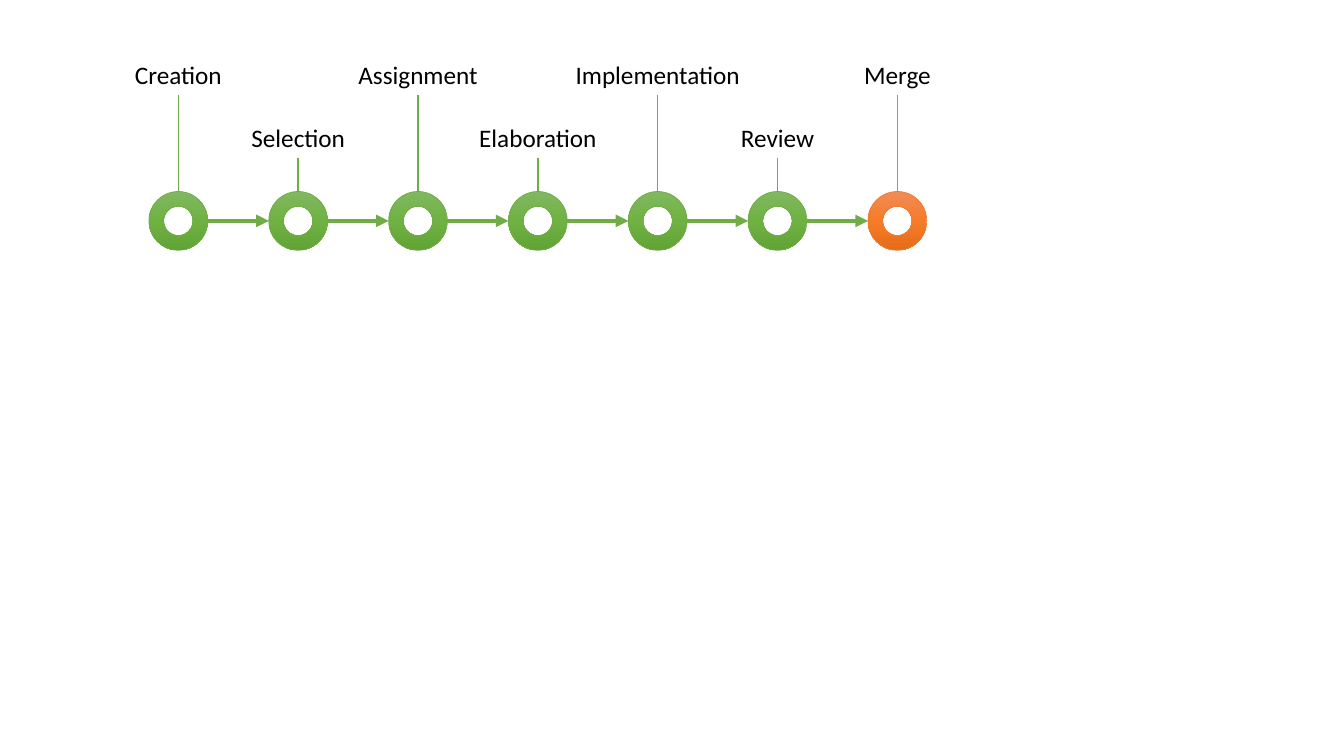
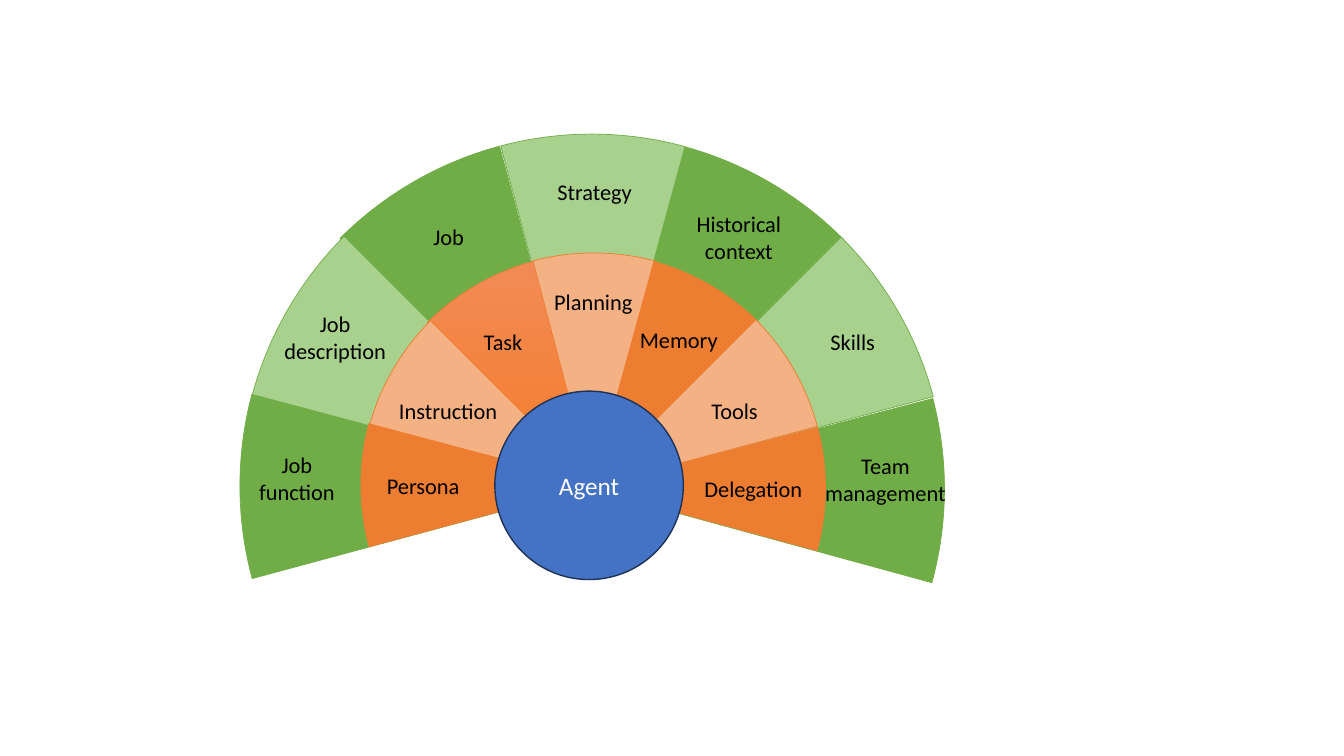
import copy
import dataclasses

import lxml.etree
import pptx
import pptx.dml.color
import pptx.enum.shapes
import pptx.enum.text
import pptx.oxml.ns
import pptx.util

Pt = pptx.util.Pt
SHAPES = pptx.enum.shapes.MSO_SHAPE
ALIGN = pptx.enum.text.PP_ALIGN


@dataclasses.dataclass(frozen=True)
class Theme:
    font: str = "Calibri"
    text: str = "000000"
    white: str = "FFFFFF"
    green: str = "70AD47"
    light_green: str = "A9D18E"
    orange: str = "ED7D31"
    light_orange: str = "F4B183"
    blue: str = "4472C4"
    navy: str = "1E3256"
    green_gradient: tuple = ("81B861", "6FB242", "62A336")
    orange_gradient: tuple = ("F18C57", "F67B28", "E56C19")
    large: int = 18
    small: int = 16
    hairline: float = 0.5
    thin: float = 1
    thick: float = 3


THEME = Theme()

# Process steps: label and label width, alternately high and low
STEPS = [("Creation", 98), ("Selection", 98), ("Assignment", 106),
         ("Elaboration", 106), ("Implementation", 137), ("Review", 106),
         ("Merge", 137)]
FIRST_CENTER, STEP_PITCH = 127.4, 85.6
RING_SIZE, RING_TOP = 42, 136.8
LABEL_TOPS, LABEL_HEIGHT = (38.9, 84.2), 28.8

# Fan sectors: clockwise turn, left and top of the full circle
OUTER_SECTORS = [(0, 168.5, 95.8), (30.2, 168.5, 95.8), (60.4, 167.8, 95.8),
                 (90, 167, 95), (120.3, 166.3, 95), (330, 171.4, 94.3),
                 (299.9, 171.4, 92.9)]
INNER_SECTORS = [(0, 255.6, 180.7), (30.2, 254.2, 180.7), (60.4, 252, 180.7),
                 (90, 249.8, 178.6), (120.3, 249.8, 178.6),
                 (330, 257.8, 179.3), (299.9, 257.8, 176.4)]
OUTER_SIZE, INNER_SIZE = 508.3, 339.8
SECTOR_START, SECTOR_END = 225, 255
ADJUSTMENT_PER_DEGREE = 0.6

# Fan labels: text, left, top, width
FAN_LABELS = [
    ("Persona", 269.3, 333.4, 67), ("Instruction", 277.9, 280.1, 85.7),
    ("Task", 338.4, 231.1, 42.5), ("Planning", 388.8, 202.3, 70.6),
    ("Memory", 450, 229.7, 70.6), ("Tools", 501.1, 280.1, 48.2),
    ("Delegation", 496.1, 335.5, 85), ("Job function", 176.4, 319, 71.3),
    ("Job description", 193.7, 218.2, 91.4), ("Job", 302.4, 155.5, 36.7),
    ("Strategy", 391, 123.8, 68.4),
    ("Historical context", 478.1, 146.9, 99.4),
    ("Skills", 586.1, 231.1, 46.8), ("Team management", 579.6, 319.7, 105.8),
]
ONE_LINE, TWO_LINES = 26.6, 46.1


def rgb(color):
    return pptx.dml.color.RGBColor.from_string(color)


def set_fill(shape, fill):
    """Apply one colour, or a downward gradient for a tuple of three."""
    if isinstance(fill, str):
        shape.fill.solid()
        shape.fill.fore_color.rgb = rgb(fill)
        return
    shape.fill.gradient()
    shape.fill.gradient_angle = 270
    stop_list = shape._element.spPr.find(".//" + pptx.oxml.ns.qn("a:gsLst"))
    stop_list.append(copy.deepcopy(stop_list[-1]))
    for stop, color, position in zip(shape.fill.gradient_stops, fill, (0, 0.5, 1)):
        stop.color.rgb = rgb(color)
        stop.position = position


def set_line(item, color, width):
    item.line.color.rgb = rgb(color)
    item.line.width = Pt(width)


def set_text(frame, text, size, color, alignment):
    frame.text = text
    para = frame.paragraphs[0]
    para.alignment = alignment
    span = para.runs[0]
    span.font.name = THEME.font
    span.font.size = Pt(size)
    span.font.color.rgb = rgb(color)


def add_figure(page, kind, left, top, size, fill, line, width=THEME.hairline):
    shape = page.shapes.add_shape(kind, Pt(left), Pt(top), Pt(size), Pt(size))
    shape.shadow.inherit = False
    set_fill(shape, fill)
    set_line(shape, line, width)
    return shape


def add_label(page, text, left, top, width, height, size,
              alignment=ALIGN.CENTER, wrap=True):
    box = page.shapes.add_textbox(Pt(left), Pt(top), Pt(width), Pt(height))
    box.text_frame.word_wrap = wrap
    box.text_frame.auto_size = pptx.enum.text.MSO_AUTO_SIZE.SHAPE_TO_FIT_TEXT
    set_text(box.text_frame, text, size, THEME.text, alignment)


def add_line(page, start, end, color, width, arrow=False):
    line = page.shapes.add_connector(
        pptx.enum.shapes.MSO_CONNECTOR.STRAIGHT,
        *(Pt(value) for value in (*start, *end)))
    set_line(line, color, width)
    if arrow:
        head = lxml.etree.SubElement(line.line._get_or_add_ln(),
                                     pptx.oxml.ns.qn("a:tailEnd"))
        head.set("type", "triangle")
    lxml.etree.SubElement(line._element.spPr, pptx.oxml.ns.qn("a:effectLst"))


def add_sectors(page, sectors, size, fills, line):
    for index, (turn, left, top) in enumerate(sectors):
        sector = add_figure(page, SHAPES.PIE, left, top, size,
                            fills[index % 2], line)
        sector.adjustments[0] = SECTOR_START * ADJUSTMENT_PER_DEGREE
        sector.adjustments[1] = SECTOR_END * ADJUSTMENT_PER_DEGREE
        sector.rotation = turn
        yield sector


def build_process(page):
    radius = RING_SIZE / 2
    middle = RING_TOP + radius
    last = len(STEPS) - 1
    for index, (text, width) in enumerate(STEPS):
        center = FIRST_CENTER + index * STEP_PITCH
        label_top = LABEL_TOPS[index % 2]
        color, gradient = ((THEME.orange, THEME.orange_gradient) if index == last
                           else (THEME.green, THEME.green_gradient))
        add_figure(page, SHAPES.DONUT, center - radius, RING_TOP, RING_SIZE,
                   gradient, color)
        add_label(page, text, center - width / 2, label_top, width,
                  LABEL_HEIGHT, THEME.large)
        add_line(page, (center, label_top + LABEL_HEIGHT), (center, RING_TOP),
                 color, THEME.thin)
        # Arrow to the next step
        if index < last:
            add_line(page, (center + radius, middle),
                     (center + STEP_PITCH - radius, middle),
                     THEME.green, THEME.thick, arrow=True)


def build_fan(page):
    # Outer and inner sectors
    list(add_sectors(page, OUTER_SECTORS, OUTER_SIZE,
                     (THEME.green, THEME.light_green), THEME.green))
    inner = list(add_sectors(page, INNER_SECTORS, INNER_SIZE,
                             (THEME.orange, THEME.light_orange), THEME.orange))
    set_fill(inner[0], THEME.orange_gradient)

    # Hub
    hub = add_figure(page, SHAPES.OVAL, 353.5, 279.4, 134.6,
                     THEME.blue, THEME.navy, THEME.thin)
    hub.text_frame.vertical_anchor = pptx.enum.text.MSO_ANCHOR.MIDDLE
    set_text(hub.text_frame, "Agent", THEME.large, THEME.white, ALIGN.CENTER)

    # Labels: two words take two centred lines
    for text, left, top, width in FAN_LABELS:
        wrap = " " in text
        add_label(page, text, left, top, width, TWO_LINES if wrap else ONE_LINE,
                  THEME.small, ALIGN.CENTER if wrap else ALIGN.LEFT, wrap)


def main():
    deck = pptx.Presentation()
    deck.slide_width, deck.slide_height = Pt(960), Pt(540)
    blank = deck.slide_layouts[6]
    for build in (build_process, build_fan):
        build(deck.slides.add_slide(blank))
    deck.save("out.pptx")


if __name__ == "__main__":
    main()
